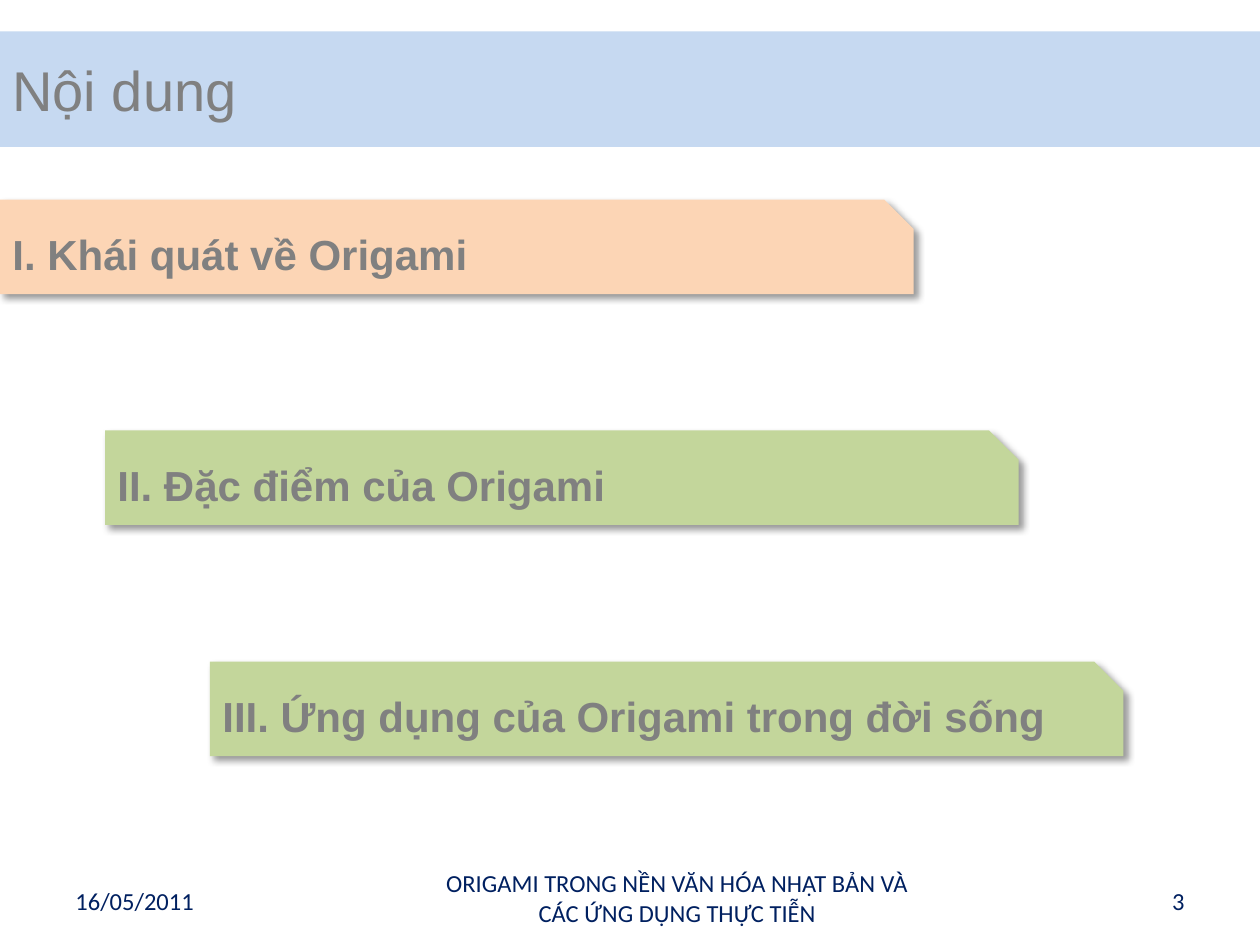
"""Build the contents slide: a title band, three stepped bars and a footer."""
from lxml import etree
from pptx import Presentation, util as u
from pptx.dml.color import RGBColor
from pptx.enum import shapes, text
from pptx.oxml import ns

UNIT = u.Inches(1) // 12
KIND = shapes.MSO_SHAPE
SIDE = text.PP_ALIGN


def write(box, words, font, size, tint, side=SIDE.LEFT, bold=False):
    frame = box.text_frame
    frame.word_wrap = True
    frame.vertical_anchor = text.MSO_ANCHOR.MIDDLE
    para = frame.paragraphs[0]
    para.text = words
    para.alignment = side
    para.font.name = font
    para.font.size = u.Pt(size)
    para.font.bold = bold
    para.font.color.rgb = RGBColor.from_string(tint)


def block(kind, col, row, wide, high, fill):
    box = slide.shapes.add_shape(kind, *[int(n * UNIT) for n in (col, row, wide, high)])
    box.shadow.inherit = False
    box.fill.solid()
    box.fill.fore_color.rgb = RGBColor.from_string(fill)
    box.line.fill.background()
    return box


deck = Presentation()
deck.slide_width, deck.slide_height = 120 * UNIT, 90 * UNIT
slide = deck.slides.add_slide(deck.slide_layouts[6])

band = block(KIND.RECTANGLE, 0, 3, 120, 11, "C6D9F1")
write(band, "Nội dung", "Arial", 32, "808080")

parts = [
    ("I. Khái quát về Origami", "FCD5B5"),
    ("II. Đặc điểm của Origami", "C3D69B"),
    ("III. Ứng dụng của Origami trong đời sống", "C3D69B"),
]
for step, (words, fill) in enumerate(parts):
    bar = block(KIND.SNIP_1_RECTANGLE, 10 * step, 19 + 22 * step, 87, 9, fill)
    bar.adjustments[0] = 0.31
    write(bar, words, "Arial", 24, "808080", bold=True)
    glow = bar.element.spPr.find(ns.qn("a:effectLst"))
    shade = etree.SubElement(glow, ns.qn("a:outerShdw"), blurRad=str(u.Pt(4)),
                             dist=str(u.Pt(3)), dir=str(45 * 60000),
                             algn="tl", rotWithShape="0")
    black = etree.SubElement(shade, ns.qn("a:srgbClr"), val="000000")
    etree.SubElement(black, ns.qn("a:alpha"), val="40000")

foot = [
    ("16/05/2011", 6, 28, SIDE.LEFT),
    ("ORIGAMI TRONG NỀN VĂN HÓA NHẬT BẢN VÀ CÁC ỨNG DỤNG THỰC TIỄN", 41, 47, SIDE.CENTER),
    ("3", 86, 28, SIDE.RIGHT),
]
for words, col, wide, side in foot:
    high = 9 if side == SIDE.CENTER else 4.8
    row = 85.5 - high / 2 if side == SIDE.CENTER else 83.4
    note = slide.shapes.add_textbox(*[int(n * UNIT) for n in (col, row, wide, high)])
    write(note, words, "Calibri", 14, "002060", side)

deck.save("out.pptx")
